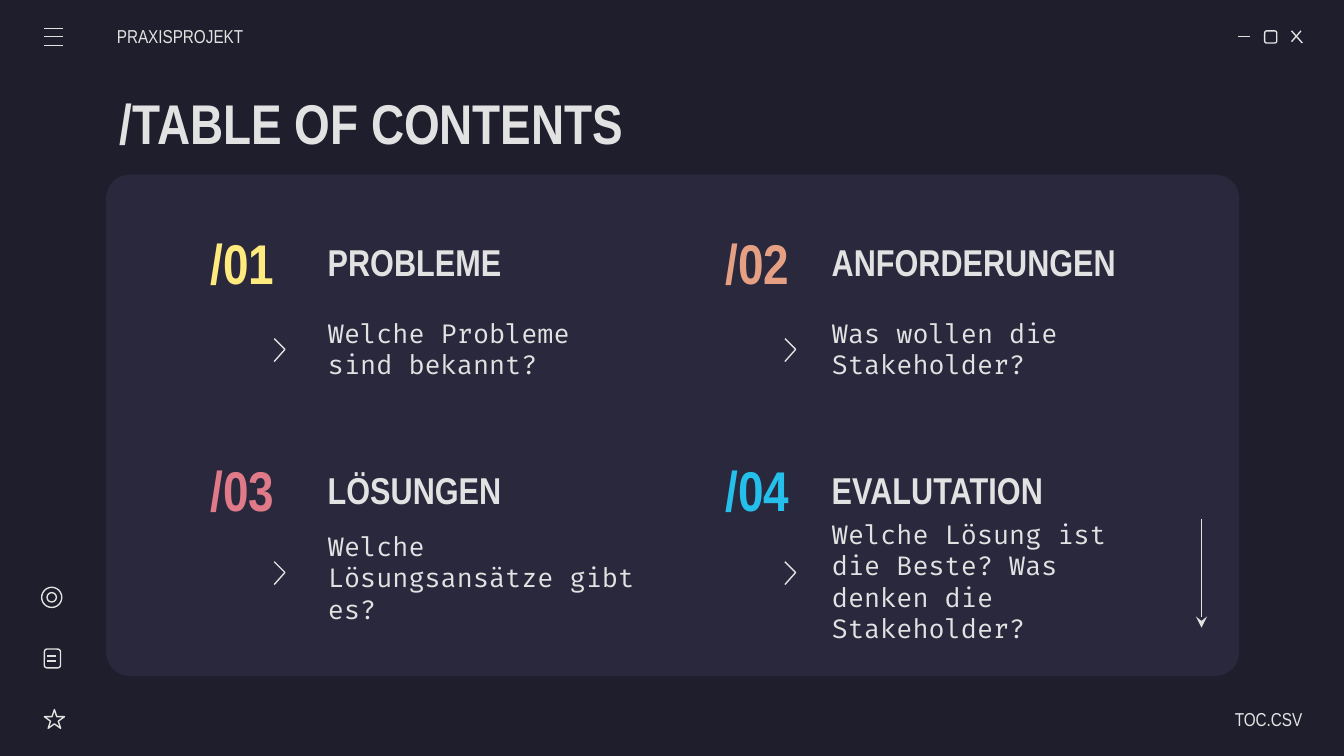
from dataclasses import dataclass

from lxml.etree import SubElement
from pptx import Presentation
from pptx.dml.color import RGBColor
from pptx.enum.shapes import MSO_CONNECTOR, MSO_SHAPE
from pptx.enum.text import MSO_ANCHOR, MSO_AUTO_SIZE, PP_ALIGN
from pptx.oxml.ns import qn
from pptx.util import Inches, Pt


@dataclass(frozen=True)
class Theme:
    background: str = "1E1E2C"
    card: str = "29283D"
    ink: str = "E2E2E2"
    yellow: str = "FFEA7D"
    orange: str = "E5A083"
    red: str = "E07A88"
    blue: str = "24BFEB"
    display: str = "Arial Narrow"
    mono: str = "Fira Code"
    title_size: int = 30
    heading_size: int = 20
    question_size: int = 14
    label_size: int = 10
    stroke: float = 0.75


THEME = Theme()

# Left edges of number, heading and chevron in each column
COLUMNS = [(1.35, 2.34, 2.04), (5.18, 6.09, 5.84)]
# Tops of heading, question and chevron in each row
ROWS = [(1.67, 2.22, 2.52), (3.36, 3.92, 4.18)]
# Number, colour, heading, question, height of the question
CHAPTERS = [
    ("/01", THEME.yellow, "PROBLEME", "Welche Probleme sind bekannt?", 0.75),
    ("/02", THEME.orange, "ANFORDERUNGEN", "Was wollen die Stakeholder?", 0.75),
    ("/03", THEME.red, "LÖSUNGEN", "Welche Lösungsansätze gibt es?", 0.75),
    ("/04", THEME.blue, "EVALUTATION",
     "Welche Lösung ist die Beste? Was denken die Stakeholder?", 0.81),
]


def rgb(color):
    return RGBColor.from_string(color)


def set_text(holder, text, box, *, size, color=THEME.ink, font=THEME.display,
             bold=False, align=PP_ALIGN.LEFT, left_inset=0.1, right_inset=0.1):
    """Place a text box or placeholder and fill it with one formatted paragraph."""
    holder.left, holder.top, holder.width, holder.height = map(Inches, box)
    frame = holder.text_frame
    frame.word_wrap = True
    frame.auto_size = MSO_AUTO_SIZE.NONE
    frame.vertical_anchor = MSO_ANCHOR.MIDDLE
    frame.margin_left, frame.margin_right = Inches(left_inset), Inches(right_inset)
    frame.margin_top = frame.margin_bottom = Inches(0.1)
    frame.text = text
    paragraph = frame.paragraphs[0]
    paragraph.alignment = align
    paragraph.space_before = Pt(0)
    properties = paragraph._p.get_or_add_pPr()
    properties.set("marL", "0")
    properties.set("indent", "0")
    SubElement(properties, qn("a:buNone"))
    run_font = paragraph.runs[0].font
    run_font.name, run_font.size, run_font.bold = font, Pt(size), bold
    run_font.color.rgb = rgb(color)


def add_text(slide, text, box, **style):
    set_text(slide.shapes.add_textbox(*map(Inches, box)), text, box, **style)


def set_stroke(shape):
    shape.line.color.rgb = rgb(THEME.ink)
    shape.line.width = Pt(THEME.stroke)


def add_outline(slide, preset, box):
    shape = slide.shapes.add_shape(preset, *map(Inches, box))
    shape.shadow.inherit = False
    shape.fill.background()
    set_stroke(shape)


def add_line(slide, start, end, arrow=False):
    line = slide.shapes.add_connector(
        MSO_CONNECTOR.STRAIGHT, *map(Inches, start + end))
    set_stroke(line)
    if arrow:
        SubElement(line.line._get_or_add_ln(), qn("a:tailEnd"), type="stealth")
    SubElement(line._element.spPr, qn("a:effectLst"))


def add_chevron(slide, left, top):
    builder = slide.shapes.build_freeform(Inches(left), Inches(top))
    builder.add_line_segments(
        [(Inches(left + 0.08), Inches(top + 0.08)), (Inches(left), Inches(top + 0.17))],
        close=False)
    chevron = builder.convert_to_shape()
    chevron.shadow.inherit = False
    chevron.fill.background()
    set_stroke(chevron)


def add_card(slide):
    """Add the panel behind all other elements."""
    card = slide.shapes.add_shape(
        MSO_SHAPE.ROUNDED_RECTANGLE, *map(Inches, (0.79, 1.3, 8.43, 3.73)))
    card.adjustments[0] = 0.047
    card.shadow.inherit = False
    card.fill.solid()
    card.fill.fore_color.rgb = rgb(THEME.card)
    card.line.fill.background()
    card.element.getparent().insert(2, card.element)


def add_window_controls(slide):
    add_line(slide, (9.21, 0.27), (9.3, 0.27))
    add_outline(slide, MSO_SHAPE.ROUNDED_RECTANGLE, (9.41, 0.23, 0.09, 0.09))
    add_line(slide, (9.61, 0.23), (9.69, 0.32))
    add_line(slide, (9.68, 0.23), (9.61, 0.31))


def add_sidebar_icons(slide):
    for y in (0.21, 0.27, 0.34):
        add_line(slide, (0.33, y), (0.47, y))
    add_outline(slide, MSO_SHAPE.OVAL, (0.31, 4.37, 0.15, 0.15))
    add_outline(slide, MSO_SHAPE.OVAL, (0.35, 4.41, 0.07, 0.07))
    add_outline(slide, MSO_SHAPE.ROUNDED_RECTANGLE, (0.33, 4.83, 0.12, 0.14))
    for y in (4.88, 4.92):
        add_line(slide, (0.35, y), (0.42, y))
    add_outline(slide, MSO_SHAPE.STAR_5_POINT, (0.33, 5.28, 0.15, 0.14))


def add_chapter(slide, question_holder, chapter, column, row):
    number, color, heading, question, question_height = chapter
    number_left, heading_left, chevron_left = column
    heading_top, question_top, chevron_top = row
    add_text(slide, number, (number_left, heading_top, 0.91, 0.56),
             size=THEME.title_size, color=color, bold=True, align=PP_ALIGN.CENTER)
    add_text(slide, heading, (heading_left, heading_top, 2.56, 0.56),
             size=THEME.heading_size, bold=True)
    set_text(question_holder, question,
             (heading_left, question_top, 2.56, question_height),
             size=THEME.question_size, font=THEME.mono)
    add_chevron(slide, chevron_left, chevron_top)


def main():
    deck = Presentation()
    deck.slide_width = Inches(10)
    deck.slide_height = deck.slide_width * 9 // 16
    # The comparison layout has a title and four body placeholders
    slide = deck.slides.add_slide(deck.slide_layouts[4])
    slide.background.fill.solid()
    slide.background.fill.fore_color.rgb = rgb(THEME.background)

    add_card(slide)
    add_window_controls(slide)
    add_sidebar_icons(slide)
    set_text(slide.shapes.title, "/TABLE OF CONTENTS", (0.79, 0.59, 8.43, 0.63),
             size=THEME.title_size, bold=True)
    add_text(slide, "PRAXISPROJEKT", (0.87, 0.12, 1.17, 0.3),
             size=THEME.label_size, left_inset=0)
    add_text(slide, "TOC.CSV", (8.52, 5.2, 1.17, 0.3),
             size=THEME.label_size, align=PP_ALIGN.RIGHT, right_inset=0)

    for index, chapter in enumerate(CHAPTERS):
        row, column = divmod(index, len(COLUMNS))
        add_chapter(slide, slide.placeholders[index + 1], chapter,
                    COLUMNS[column], ROWS[row])
    add_line(slide, (8.94, 3.86), (8.94, 4.67), arrow=True)

    deck.save("out.pptx")


if __name__ == "__main__":
    main()
